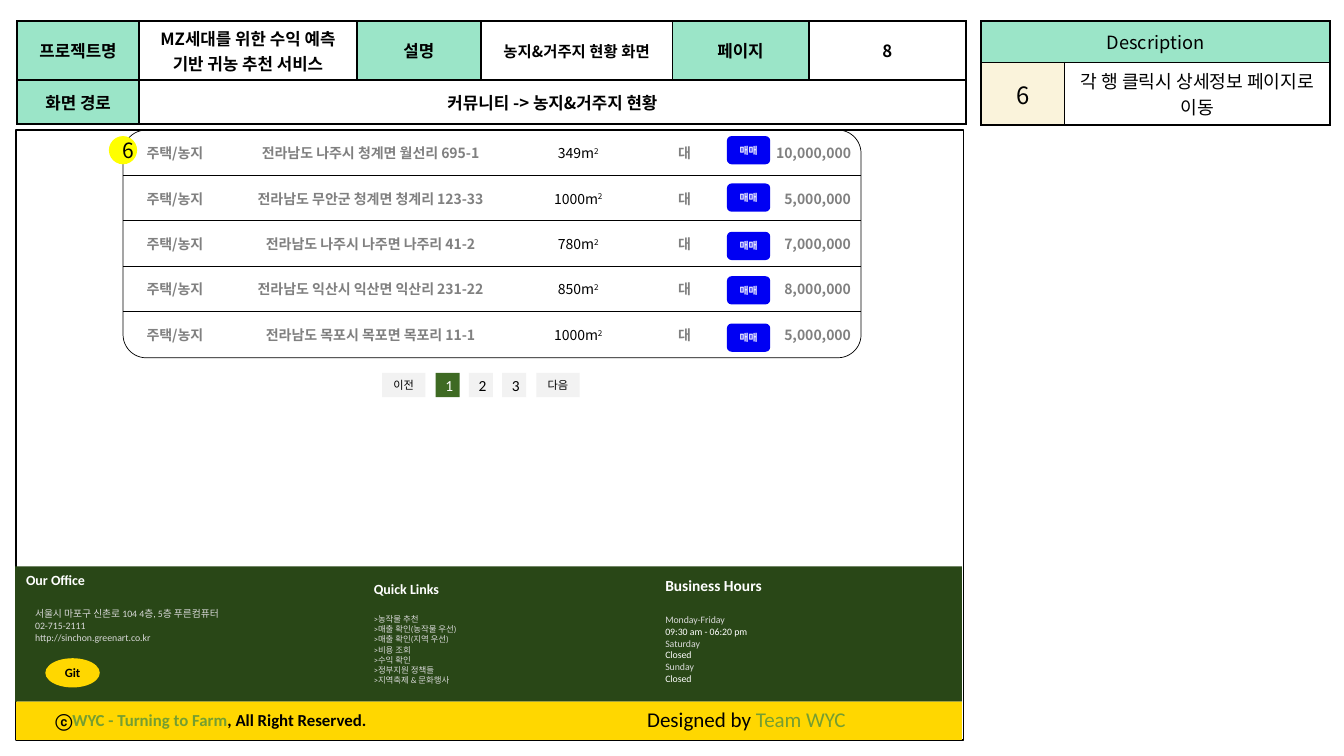
from lxml.etree import SubElement
from pptx import Presentation
from pptx.dml.color import RGBColor
from pptx.enum.shapes import MSO_SHAPE
from pptx.enum.text import MSO_ANCHOR, MSO_AUTO_SIZE, PP_ALIGN
from pptx.oxml.ns import qn
from pptx.util import Inches, Pt

BLACK = RGBColor(0x00, 0x00, 0x00)
WHITE = RGBColor(0xFF, 0xFF, 0xFF)
GRAY = RGBColor(0x80, 0x80, 0x80)
SILVER = RGBColor(0xD9, 0xD9, 0xD9)
PALE = RGBColor(0xF2, 0xF2, 0xF2)
MINT = RGBColor(0x9B, 0xE5, 0xC8)
CREAM = RGBColor(0xFA, 0xF3, 0xDB)
BLUE = RGBColor(0x00, 0x00, 0xF3)
YELLOW = RGBColor(0xFF, 0xFF, 0x00)
GOLD = RGBColor(0xFF, 0xD7, 0x00)
FOREST = RGBColor(0x29, 0x47, 0x17)
MOSS = RGBColor(0x3E, 0x6A, 0x23)
LEAF = RGBColor(0x75, 0x9E, 0x31)
LATIN = "Calibri"
KOREAN = "Noto Sans CJK KR"

LISTINGS = [
    ("전라남도 나주시 청계면 월선리 695-1", "349m", "10,000,000", 1.35),
    ("전라남도 무안군 청계면 청계리 123-33", "1000m", "5,000,000", 1.82),
    ("전라남도 나주시 나주면 나주리 41-2", "780m", "7,000,000", 2.3),
    ("전라남도 익산시 익산면 익산리 231-22", "850m", "8,000,000", 2.74),
    ("전라남도 목포시 목포면 목포리 11-1", "1000m", "5,000,000", 3.21),
]
PAGER = [
    ("이전", 3.79, 0.43, 8, PALE, BLACK),
    ("1", 4.32, 0.24, 11, MOSS, WHITE),
    ("2", 4.65, 0.24, 11, PALE, BLACK),
    ("3", 4.98, 0.24, 11, PALE, BLACK),
    ("다음", 5.32, 0.43, 8, PALE, BLACK),
]
OFFICE = ["서울시 마포구 신촌로 104 4층, 5층 푸른컴퓨터", "02-715-2111",
          "http://sinchon.greenart.co.kr"]
LINKS = [">농작물 추천", ">매출 확인(농작물 우선)", ">매출 확인(지역 우선)", ">비용 조회",
         ">수익 확인", ">정부지원 정책들", ">지역축제 & 문화행사"]
HOURS = [("Monday-Friday", SILVER), ("09:30 am - 06:20 pm", WHITE), ("Saturday", SILVER),
         ("Closed", WHITE), ("Sunday", SILVER), ("Closed", WHITE)]


class Screen:
    def __init__(self, deck):
        self.page = deck.slides.add_slide(deck.slide_layouts[6])
        self.style = {"name": LATIN, "size": 10, "bold": False}

    def add_spans(self, para, spans, align=PP_ALIGN.CENTER, **look):
        para.alignment = align
        for text, extra in spans:
            span = para.add_run()
            span.text = text
            values = {**self.style, "color": BLACK, **look, **extra}
            span.font.color.rgb = values.pop("color")
            raised = values.pop("raised", False)
            values["size"] = Pt(values["size"])
            for key, value in values.items():
                setattr(span.font, key, value)
            props = span._r.get_or_add_rPr()
            SubElement(props, qn("a:ea"), typeface=KOREAN)
            if raised:
                props.set("baseline", "30000")

    def shape(self, kind, place, fill=None, line=None, text="", wrap=True, round_by=None, **look):
        box = self.page.shapes.add_shape(kind, *map(Inches, place))
        box.shadow.inherit = False
        if round_by:
            box.adjustments[0] = round_by
        if fill is None:
            box.fill.background()
        else:
            box.fill.solid()
            box.fill.fore_color.rgb = fill
        if line:
            box.line.color.rgb = BLACK
            box.line.width = Pt(line)
        else:
            box.line.fill.background()
        if text:
            box.text_frame.word_wrap = wrap
            box.text_frame.vertical_anchor = MSO_ANCHOR.MIDDLE
            self.add_spans(box.text_frame.paragraphs[0], [(text, {})], **look)

    def text(self, place, paras, gap=0, indent=0, **look):
        box = self.page.shapes.add_textbox(*map(Inches, place))
        frame = box.text_frame
        frame.word_wrap = True
        frame.auto_size = MSO_AUTO_SIZE.SHAPE_TO_FIT_TEXT
        for index, spans in enumerate(paras):
            para = frame.add_paragraph() if index else frame.paragraphs[0]
            if index and indent:
                para._p.get_or_add_pPr().set("marL", str(Inches(indent)))
            self.add_spans(para, spans, PP_ALIGN.LEFT, **look)
        if gap:
            frame.paragraphs[0].space_after = Pt(gap)

    def table(self, place, columns, rows):
        grid = self.page.shapes.add_table(len(rows), len(columns), *map(Inches, place)).table
        grid.first_row = grid.horz_banding = False
        for column, width in zip(grid.columns, columns):
            column.width = Inches(width)
        for row, height in zip(grid.rows, rows):
            row.height = Inches(height)
        return grid

    def cell(self, cell, spans, edges, fill=WHITE, align=PP_ALIGN.CENTER, **look):
        cell.vertical_anchor = MSO_ANCHOR.MIDDLE
        self.add_spans(cell.text_frame.paragraphs[0], spans, align, name=KOREAN, **look)
        self.edge(cell, edges)
        cell.fill.solid()
        cell.fill.fore_color.rgb = fill

    def edge(self, cell, edges):
        props = cell._tc.get_or_add_tcPr()
        for side, width in zip("LRTB", edges):
            line = SubElement(props, qn(f"a:ln{side}"), w=str(Pt(width)))
            if width:
                SubElement(SubElement(line, qn("a:solidFill")), qn("a:srgbClr"), val=str(BLACK))
            else:
                SubElement(line, qn("a:noFill"))


def add_description(screen):
    grid = screen.table((9.73, 0.21, 3.46, 0.94), [0.83, 2.63], [0.41, 0.41])
    grid.cell(0, 0).merge(grid.cell(0, 1))
    screen.cell(grid.cell(0, 0), [("Description", {})], (1.5, 1.5, 1.5, 1), MINT, size=13)
    screen.edge(grid.cell(0, 1), (1.5, 1.5, 1.5, 1))
    screen.cell(grid.cell(1, 0), [("6", {})], (1.5, 1, 1, 1.5), CREAM, size=17)
    screen.cell(grid.cell(1, 1), [("각 행 클릭시 상세정보 페이지로 이동", {})],
                (1, 1.5, 1, 1.5), size=13)


def add_listings(screen):
    place = (1.22, 1.29, 7.32, 2.26)
    grid = screen.table(place, [1.03, 2.85, 1.27, 0.84, 1.33], [0.45] * len(LISTINGS))
    plain = {"color": BLACK, "bold": False}
    for index, (address, area, price, _) in enumerate(LISTINGS):
        bottom = 0 if index == len(LISTINGS) - 1 else 1
        values = [[("주택/농지", {})], [(address, {})],
                  [(area, plain), ("2", {**plain, "raised": True})],
                  [("대", {})], [(price, {})]]
        for column, spans in enumerate(values):
            align = PP_ALIGN.RIGHT if column == 4 else PP_ALIGN.CENTER
            screen.cell(grid.cell(index, column), spans, (0, 0, 1, bottom), align=align,
                        color=GRAY, bold=True)
    screen.shape(MSO_SHAPE.ROUNDED_RECTANGLE, place, line=0.5, round_by=0.102)
    for *_, top in LISTINGS:
        screen.shape(MSO_SHAPE.ROUNDED_RECTANGLE, (7.21, top, 0.43, 0.28), BLUE, text="매매",
                     size=7, color=WHITE, bold=True)
    for label, left, width, size, fill, color in PAGER:
        screen.shape(MSO_SHAPE.RECTANGLE, (left, 3.7, width, 0.24), fill, text=label,
                     size=size, color=color)


def add_header(screen):
    grid = screen.table((0.17, 0.21, 9.41, 0.94), [1.21, 2.16, 1.23, 1.9, 1.35, 1.56], [0.47, 0.44])
    grid.cell(1, 1).merge(grid.cell(1, 5))
    rows = [["프로젝트명", "MZ세대를 위한 수익 예측 기반 귀농 추천 서비스", "설명",
             "농지&거주지 현황 화면", "페이지", "8"],
            ["화면 경로", "커뮤니티 -> 농지&거주지 현황"]]
    for index, labels in enumerate(rows):
        for column, label in enumerate(labels):
            screen.cell(grid.cell(index, column), [(label, {})], [1.5] * 4,
                        WHITE if column % 2 else MINT,
                        size=11 if (index, column) == (0, 3) else 12, bold=True)
    for column in range(2, 6):
        screen.edge(grid.cell(1, column), [1.5] * 4)


def add_footer(screen):
    screen.shape(MSO_SHAPE.RECTANGLE, (0.15, 5.62, 9.39, 1.34), FOREST)
    screen.shape(MSO_SHAPE.RECTANGLE, (0.16, 6.96, 9.38, 0.38), GOLD)
    heading = {"color": WHITE, "bold": True}
    screen.text((0.16, 5.62, 2.27, 0.83),
                [[("Our Office", {**heading, "size": 10})]] + [[(line, {})] for line in OFFICE],
                gap=14, indent=0.09, size=7, color=SILVER)
    screen.text((3.61, 5.71, 1.43, 1.13),
                [[("Quick Links", {**heading, "size": 10})]] + [[(line, {})] for line in LINKS],
                gap=12.2, size=6, color=SILVER)
    screen.text((6.5, 5.67, 1.58, 1.17),
                [[("Business Hours", {**heading, "size": 11})]]
                + [[(line, {"color": color})] for line, color in HOURS],
                gap=13.4, size=7)
    screen.shape(MSO_SHAPE.OVAL, (0.45, 6.53, 0.54, 0.29), GOLD, text="Git", wrap=False,
                 size=9, bold=True)
    screen.text((0.45, 6.99, 4.25, 0.3),
                [[("ⓒ", {}), ("WYC - Turning to Farm", {"color": LEAF}),
                  (", All Right Reserved.", {})]], size=12, bold=True)
    screen.text((6.32, 6.96, 2.98, 0.35),
                [[("Designed by ", {}), ("Team WYC", {"color": LEAF})]], size=15)


def main():
    deck = Presentation()
    deck.slide_width, deck.slide_height = Inches(13.33), Inches(7.5)
    screen = Screen(deck)
    add_description(screen)
    screen.shape(MSO_SHAPE.RECTANGLE, (0.16, 1.29, 9.4, 6.05), line=1)
    add_listings(screen)
    add_header(screen)
    screen.shape(MSO_SHAPE.OVAL, (1.08, 1.35, 0.28, 0.28), YELLOW, text="6", size=15, name=KOREAN)
    add_footer(screen)
    deck.save("out.pptx")


if __name__ == "__main__":
    main()
